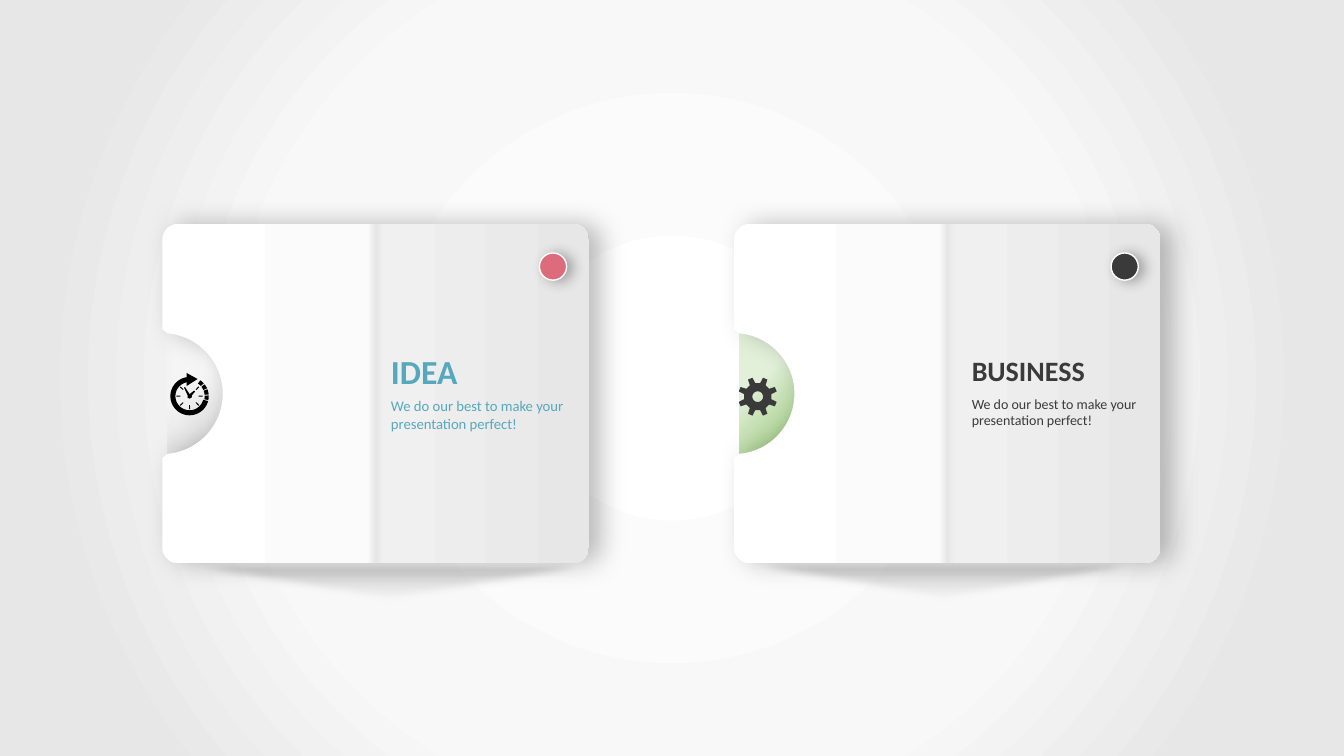
"""Build a slide with two notched cards, IDEA and BUSINESS."""
import math
import pptx
import pptx.dml.color
import pptx.enum.shapes
import pptx.enum.text
import pptx.oxml
import pptx.oxml.ns
import pptx.util

BODY = "We do our best to make your presentation perfect!"
THEME = {
    "font": "Calibri", "white": "FFFFFF", "black": "000000",
    "teal": "56A8BD", "dark": "3A3A3A", "rose": "DC6C7C",
    "page": [(0, "FFFFFF"), (37, "FBFBFB"), (54, "F8F8F8"), (83, "E7E7E7")],
    "card": [(0, "FFFFFF"), (48, "FBFBFB"), (50, "E7E7E7"), (52, "F0F0F0"), (100, "E7E7E7")],
    "floor": [(0, "E7E6E6", 12), (74, "808080", 32), (94, "808080", 51)],
    "grey": [(37, "FFFFFF", 20), (60, "D9D9D9", 38), (82, "BFBFBF", 51), (100, "A6A6A6")],
    "green": [(37, "E2F0D9"), (60, "C5E0B4"), (82, "A9D18E"), (100, "548235")],
}
CARDS = [
    {"title": "IDEA", "ink": "teal", "dot": "rose", "tab": "grey", "floor": (-0.45, 3.35, 5.4),
     "text_x": 2.17, "title_box": (1.21, 0.87, 0.5), "body_box": (1.67, 2.07, 0.47), "sizes": (24, 10.5)},
    {"title": "BUSINESS", "ink": "dark", "dot": "dark", "tab": "green", "floor": (-0.5, 3.34, 5.17),
     "text_x": 2.26, "title_box": (1.24, 1.34, 0.44), "body_box": (1.65, 1.97, 0.44), "sizes": (20, 10)},
]
SLIDE_W, SLIDE_H = 13.33, 7.5
LEFT, TOP, PITCH = 1.61, 2.22, 5.67
CARD_W, CARD_H, CORNER = 4.23, 3.37, 0.16
NOTCH_R, NOTCH_Y = 0.6, 1.685
DOT_X, DOT_Y, DOT_D = 3.74, 0.29, 0.27
FLOOR_H = 0.44
CLOCK_SEGMENTS = [(34, 48), (52, 66), (69, 85), (88, 102)]
CLOCK_HANDS = [(0, -0.02), (0.045, -0.055), (0.055, -0.045), (0.025, -0.01), (0.02, 0.015), (0, 0.025),
               (-0.02, 0.015), (-0.02, -0.01), (-0.055, -0.085), (-0.045, -0.09)]
CLOCK_ARROW = [(-0.03, -0.23), (0.08, -0.17), (-0.03, -0.1)]

Inches, Pt = pptx.util.Inches, pptx.util.Pt
NS = pptx.oxml.ns.nsdecls("a")
SHAPE = pptx.enum.shapes.MSO_SHAPE


def rgb(name):
    return pptx.dml.color.RGBColor.from_string(THEME[name])


def color_xml(color, alpha=100):
    return f'<a:srgbClr val="{color}"><a:alpha val="{alpha * 1000}"/></a:srgbClr>'


def gradient(owner, fill, name, angle=None, focus=None):
    stops = "".join(f'<a:gs pos="{pos * 1000}">{color_xml(*color)}</a:gs>' for pos, *color in THEME[name])
    if focus:
        sides = " ".join(f'{k}="{v * 1000}"' for k, v in zip("ltrb", focus))
        way = f'<a:path path="circle"><a:fillToRect {sides}/></a:path>'
    else:
        way = f'<a:lin ang="{angle * 60000}" scaled="0"/>'
    fill.gradient()
    old = owner.element.xpath(".//a:gradFill")[0]
    old.getparent().replace(old, pptx.oxml.parse_xml(
        f'<a:gradFill {NS} rotWithShape="1"><a:gsLst>{stops}</a:gsLst>{way}</a:gradFill>'))


def plain(sp, color=None):
    sp.shadow.inherit = False
    sp.line.fill.background()
    if color:
        sp.fill.solid()
        sp.fill.fore_color.rgb = rgb(color)
    return sp


def effect(sp, xml):
    sp.element.xpath(".//a:effectLst")[0].append(pptx.oxml.parse_xml(xml))


def cast_shadow(sp, alpha, blur, dist, angle):
    effect(sp, f'<a:outerShdw {NS} blurRad="{Pt(blur)}" dist="{Pt(dist)}" dir="{angle * 60000}" '
               f'algn="ctr" rotWithShape="0">{color_xml(THEME["black"], alpha)}</a:outerShdw>')


def polar(cx, cy, r, deg):
    a = math.radians(deg)
    return cx + r * math.sin(a), cy - r * math.cos(a)


def arc(cx, cy, r, start, end):
    n = max(2, math.ceil(abs(end - start) / 4))
    return [polar(cx, cy, r, start + (end - start) * i / n) for i in range(n + 1)]


def ring(cx, cy, inner, outer, start, end):
    return arc(cx, cy, outer, start, end) + arc(cx, cy, inner, end, start)


def outline(shapes, contours):
    contours = [[(Inches(x), Inches(y)) for x, y in c] for c in contours]
    builder = shapes.build_freeform(*contours[0][0])
    for i, (first, *rest) in enumerate(contours):
        if i:
            builder.move_to(*first)
        builder.add_line_segments(rest, close=True)
    return plain(builder.convert_to_shape())


def card_outline(x, y):
    right, bottom, mid, c = x + CARD_W, y + CARD_H, y + NOTCH_Y, CORNER
    return (arc(x + c, y + c, c, 270, 360) + arc(right - c, y + c, c, 0, 90)
            + arc(right - c, bottom - c, c, 90, 180) + arc(x + c, bottom - c, c, 180, 270)
            + [(x, mid + 0.64)] + arc(x, mid, NOTCH_R, 175, 5) + [(x, mid - 0.64)])


def clock(cx, cy):
    rings = [(0.14, 0.19, 105, 350)] + [(0.15, 0.19, a, b) for a, b in CLOCK_SEGMENTS]
    ticks = [(0.09, 0.13, a - 2.5, a + 2.5) for a in range(45, 360, 45)]
    parts = [[(cx + dx, cy + dy) for dx, dy in part] for part in (CLOCK_ARROW, CLOCK_HANDS)]
    return parts + [ring(cx, cy, *r) for r in rings + ticks]


def gear(cx, cy):
    tooth = [(0.137, -12), (0.195, -7), (0.195, 7), (0.137, 12)]
    teeth = [polar(cx, cy, r, 22.5 + 45 * k + a) for k in range(8) for r, a in tooth]
    return [teeth, arc(cx, cy, 0.053, 0, 356)]


def draw_card(shapes, x, card):
    dx, dy, width = card["floor"]
    floor = plain(shapes.add_shape(SHAPE.ISOSCELES_TRIANGLE, Inches(x + dx), Inches(TOP + dy),
                                   Inches(width), Inches(FLOOR_H)))
    floor.element.xpath(".//a:xfrm")[0].set("flipV", "1")
    gradient(floor, floor.fill, "floor", angle=90)
    effect(floor, f'<a:softEdge {NS} rad="{Pt(5)}"/>')
    tab = outline(shapes, [arc(x + 0.05, TOP + NOTCH_Y, NOTCH_R, 0, 180)])
    gradient(tab, tab.fill, card["tab"], focus=(0, 0, 100, 100))
    panel = outline(shapes, [card_outline(x, TOP)])
    gradient(panel, panel.fill, "card", angle=0)
    cast_shadow(panel, 26, 19, 8, 0)
    dot = plain(shapes.add_shape(SHAPE.OVAL, Inches(x + DOT_X), Inches(TOP + DOT_Y),
                                 Inches(DOT_D), Inches(DOT_D)), card["dot"])
    dot.line.color.rgb = rgb("white")
    dot.line.width = Pt(1)
    cast_shadow(dot, 33, 10, 4, 10)


def write(shapes, x, box, text, size, ink, bold=False):
    dy, width, height = box
    tf = shapes.add_textbox(Inches(x), Inches(TOP + dy), Inches(width), Inches(height)).text_frame
    tf.word_wrap = not bold
    tf.auto_size = pptx.enum.text.MSO_AUTO_SIZE.SHAPE_TO_FIT_TEXT
    tf.text = text
    font = tf.paragraphs[0].runs[0].font
    font.name, font.size, font.bold = THEME["font"], Pt(size), bold
    font.color.rgb = rgb(ink)


def main():
    prs = pptx.Presentation()
    prs.slide_width, prs.slide_height = Inches(SLIDE_W), Inches(SLIDE_H)
    slide = prs.slides.add_slide(prs.slide_layouts[6])
    gradient(slide, slide.background.fill, "page", focus=(50, 50, 50, 50))
    shapes = slide.shapes
    lefts = [LEFT + PITCH * i for i in range(len(CARDS))]
    for x, card in zip(lefts, CARDS):
        draw_card(shapes.add_group_shape().shapes, x, card)
    plain(outline(shapes, clock(lefts[0] + 0.27, TOP + 1.71)), "black")
    plain(outline(shapes, gear(lefts[1] + 0.235, TOP + 1.715)), "dark")
    for x, card in zip(lefts, CARDS):
        title_size, body_size = card["sizes"]
        text_x = x + card["text_x"]
        write(shapes, text_x, card["title_box"], card["title"], title_size, card["ink"], bold=True)
        write(shapes, text_x, card["body_box"], BODY, body_size, card["ink"])
    prs.save("out.pptx")


if __name__ == "__main__":
    main()
